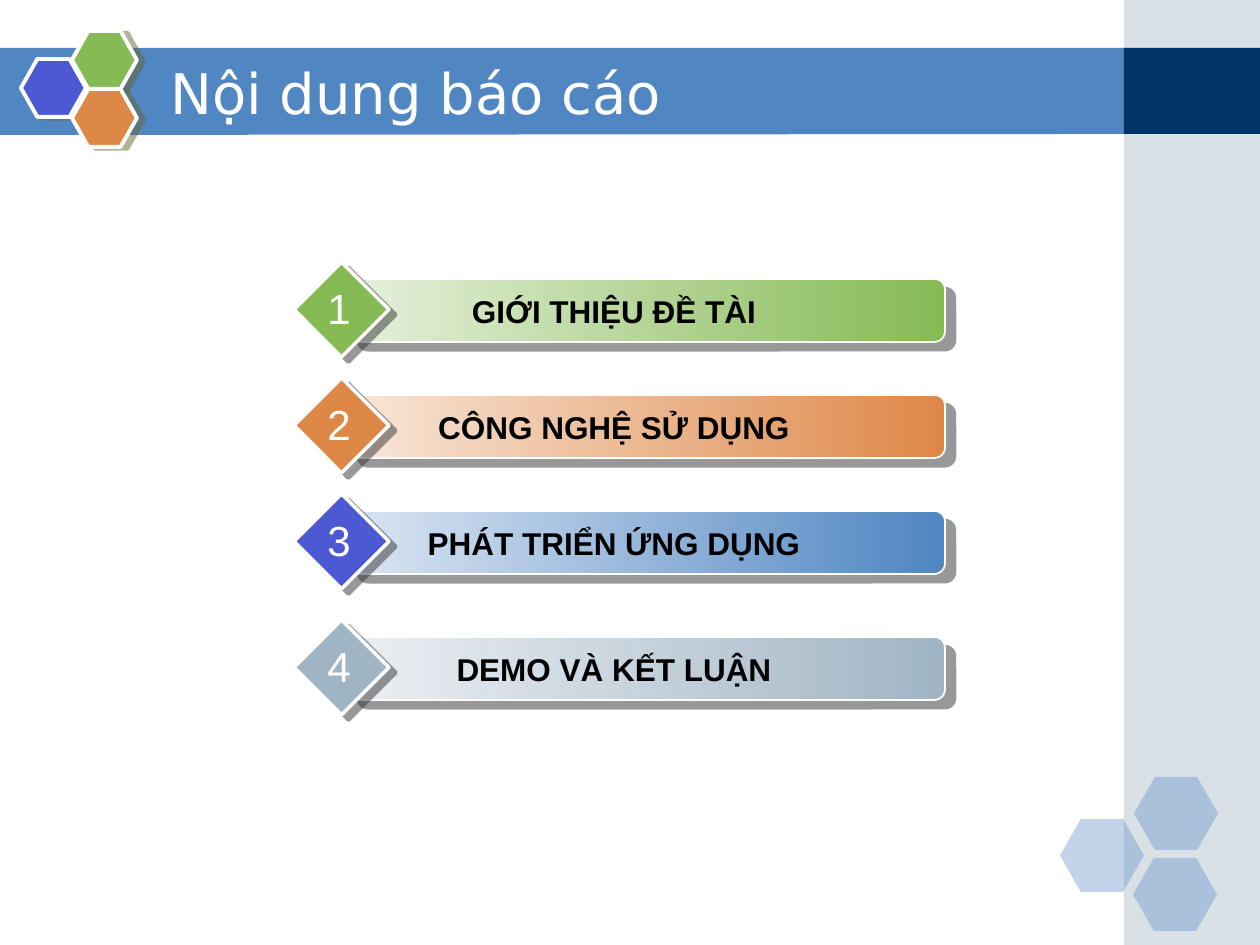
"""Build the report contents slide with four numbered bars."""
from lxml import etree
from pptx import Presentation
from pptx import util as u
from pptx.dml.color import RGBColor
from pptx.enum import shapes, text
from pptx.oxml.ns import qn

PX = 914400 / 126
KIND = shapes.MSO_SHAPE
WHITE = "FFFFFF"
BLUE, GREEN, ORANGE, VIOLET, GREY = "5086C2", "85BA54", "DE8848", "4C59D2", "A0B5C4"

TITLE = "Nội dung báo cáo"
ITEMS = [
    ("GIỚI THIỆU ĐỀ TÀI", 262, GREEN, GREEN, "E5F0DB"),
    ("CÔNG NGHỆ SỬ DỤNG", 378, ORANGE, ORANGE, "F8E6D8"),
    ("PHÁT TRIỂN ỨNG DỤNG", 494, VIOLET, BLUE, "DAE5F2"),
    ("DEMO VÀ KẾT LUẬN", 620, GREY, GREY, "EBEFF3"),
]
BAND = [(-1, 48), (1128, 48), (1128, 134), (-1, 135)]
SIDE_PANELS = [((1124, 0, 136, 945), GREY, 40), ((1124, 48, 136, 86), "003366", 100)]
PALE_HEXAGONS = [(1060, 819), (1134, 777), (1133, 858)]
LOGO_HEXAGONS = [((21, 59), VIOLET), (((72, 31)), GREEN), ((72, 89), ORANGE)]


def px(n):
    return u.Emu(round(n * PX))


def rgb(value):
    return RGBColor.from_string(value)


def paint(shape, color, alpha=100):
    shape.shadow.inherit = False
    shape.fill.solid()
    shape.fill.fore_color.rgb = rgb(color)
    shape.line.fill.background()
    if alpha < 100:
        clr = shape.fill._xPr.find(qn("a:solidFill"))[0]
        etree.SubElement(clr, qn("a:alpha"), val=str(alpha * 1000))


def add_shape(parent, kind, box, color, alpha=100, adj=None, fade=None, line=None, shadow=None):
    shape = parent.add_shape(kind, *map(px, box))
    paint(shape, color, alpha)
    if adj is not None:
        shape.adjustments[0] = adj
    if fade:
        shape.fill.gradient()
        shape.fill.gradient_angle = 180
        for stop, shade in zip(shape.fill.gradient_stops, (color, fade)):
            stop.color.rgb = rgb(shade)
    if line:
        shape.line.color.rgb = rgb(WHITE)
        shape.line.width = u.Pt(line)
    if shadow:
        shade, distance, angle = shadow
        effects = shape._element.spPr.find(qn("a:effectLst"))
        outer = etree.SubElement(effects, qn("a:outerShdw"), dist=str(u.Pt(distance)),
                                 dir=str(angle * 60000), algn="ctr", rotWithShape="0")
        clr = etree.SubElement(outer, qn("a:srgbClr"), val=shade)
        etree.SubElement(clr, qn("a:alpha"), val="50000")
    return shape


def add_text(parent, words, box, size, color, font="Arial", bold=False, center=True, wrap=True):
    frame = parent.add_textbox(*map(px, box)).text_frame
    frame.word_wrap = wrap
    frame.vertical_anchor = text.MSO_ANCHOR.TOP if center else text.MSO_ANCHOR.MIDDLE
    line = frame.paragraphs[0]
    line.alignment = text.PP_ALIGN.CENTER if center else text.PP_ALIGN.LEFT
    run = line.add_run()
    run.text = words
    run.font.name, run.font.size, run.font.bold = font, u.Pt(size), bold
    run.font.color.rgb = rgb(color)


def add_item(slide, number, words, top, diamond, bar, fade):
    group = slide.shapes.add_group_shape().shapes
    add_shape(group, KIND.ROUNDED_RECTANGLE, (347, top + 17, 598, 63), bar, adj=0.167,
              fade=fade, line=1, shadow=("333333", 7.8, 40))
    add_shape(group, KIND.DIAMOND, (294, top, 95, 95), diamond, line=2,
              shadow=("333333", 5, 37))
    add_text(group, words, (378, top + 24, 472, 50), 18, "000000", bold=True)
    add_text(group, str(number), (315, top + 14, 48, 63), 24, WHITE, wrap=False)


def main():
    deck = Presentation()
    deck.slide_width, deck.slide_height = px(1260), px(945)
    slide = deck.slides.add_slide(deck.slide_layouts[6])

    outline = slide.shapes.build_freeform(*BAND[0], scale=PX)
    outline.add_line_segments(BAND[1:], close=True)
    paint(outline.convert_to_shape(), BLUE)

    side = slide.shapes.add_group_shape().shapes
    for box, color, alpha in SIDE_PANELS:
        add_shape(side, KIND.RECTANGLE, box, color, alpha)
    for left, top in PALE_HEXAGONS:
        add_shape(slide.shapes, KIND.HEXAGON, (left, top, 84, 73), BLUE, 35, adj=0.286)
    logo = slide.shapes.add_group_shape().shapes
    for (left, top), color in LOGO_HEXAGONS:
        add_shape(logo, KIND.HEXAGON, (left, top, 65, 58), color, adj=0.283, line=2.25,
                  shadow=("666633", 4.1, 14))

    add_text(slide.shapes, TITLE, (158, 53, 924, 78), 32, WHITE, font="DejaVu Sans", center=False)
    for number, item in enumerate(ITEMS, 1):
        add_item(slide, number, *item)
    deck.save("out.pptx")


if __name__ == "__main__":
    main()
